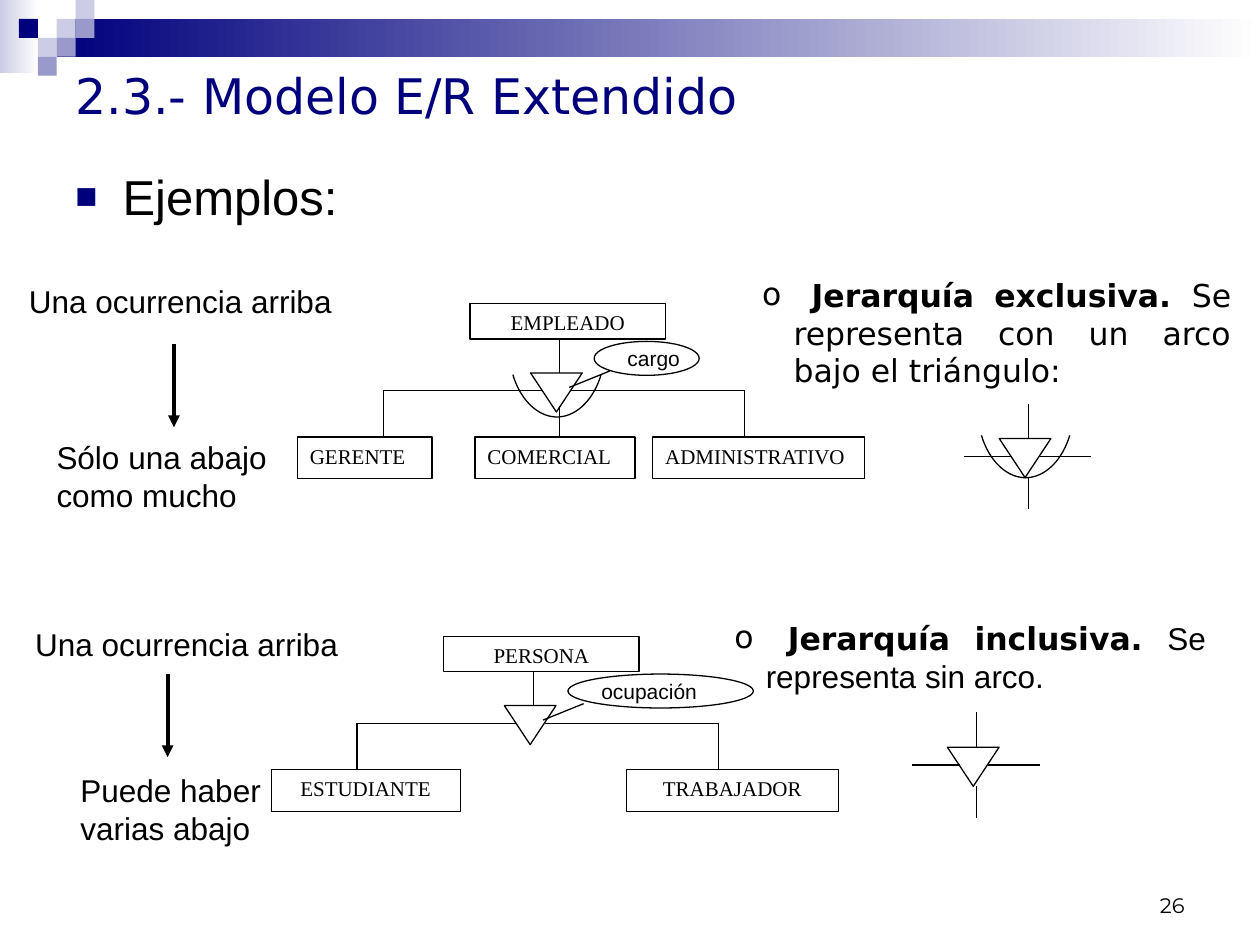
import pptx
import pptx.util
import pptx.dml.color
import pptx.enum.shapes
import pptx.enum.text
import pptx.oxml
import pptx.oxml.ns

Pt = pptx.util.Pt
RGBColor = pptx.dml.color.RGBColor
SHAPE = pptx.enum.shapes.MSO_SHAPE
LINE = pptx.enum.shapes.MSO_CONNECTOR.STRAIGHT
ALIGN = pptx.enum.text.PP_ALIGN
ANCHOR = pptx.enum.text.MSO_ANCHOR
FIT = pptx.enum.text.MSO_AUTO_SIZE
qn = pptx.oxml.ns.qn

NAVY = RGBColor(0x00, 0x00, 0x7D)
MID = RGBColor(0x99, 0x99, 0xCC)
PALE = RGBColor(0xCC, 0xCC, 0xE6)
WHITE = RGBColor(0xFF, 0xFF, 0xFF)
BLACK = RGBColor(0x00, 0x00, 0x00)
SANS, WIDE, SERIF = "Arial", "DejaVu Sans", "Times New Roman"


def make(tag, **attrs):
    """Return a new drawing element with the given attributes."""
    node = pptx.oxml.parse_xml(f"<a:{tag} {pptx.oxml.ns.nsdecls('a')}/>")
    for name, value in attrs.items():
        node.set(name, str(value))
    return node


def write(shape, *parts, size=18, font=SANS, color=BLACK, align=ALIGN.LEFT,
          anchor=ANCHOR.TOP, before=0):
    """Fill a shape with one paragraph; a part is text or (text, font, bold)."""
    frame = shape.text_frame
    frame.word_wrap, frame.auto_size = True, FIT.NONE
    frame.vertical_anchor = anchor
    para = frame.paragraphs[0]
    para.alignment, para.space_before = align, Pt(before)
    for part in parts:
        text, face, bold = (part, font, False) if isinstance(part, str) else part
        run = para.add_run()
        run.text = text
        run.font.name, run.font.bold = face, bold
        run.font.size = Pt(size)
        run.font.color.rgb = color
    return para


def label(slide, box, *parts, **style):
    """Add a text box and return its paragraph."""
    return write(slide.shapes.add_textbox(*map(Pt, box)), *parts, **style)


def bullet(para, char, left, hang, color, face, scale=100):
    """Give a paragraph a hanging bullet."""
    props = para._p.get_or_add_pPr()
    props.set("marL", str(Pt(left)))
    props.set("indent", str(Pt(-hang)))
    tint = make("buClr")
    tint.append(make("srgbClr", val=color))
    props.extend([tint, make("buSzPct", val=scale * 1000),
                  make("buFont", typeface=face), make("buChar", char=char)])


def block(slide, kind, box, fill=None, fade=False, edge=None):
    """Add a preset shape with a plain, faded or empty fill."""
    shape = slide.shapes.add_shape(kind, *map(Pt, box))
    shape.shadow.inherit = False
    if fade:
        shape.fill.gradient()
        shape.fill.gradient_angle = 0
        for stop, tone in zip(shape.fill.gradient_stops, (fill, WHITE)):
            stop.color.rgb = tone
    elif fill is None:
        shape.fill.background()
    else:
        shape.fill.solid()
        shape.fill.fore_color.rgb = fill
    if edge is None:
        shape.line.fill.background()
    else:
        shape.line.color.rgb, shape.line.width = edge, Pt(0.75)
    return shape


def stroke(slide, start, end, width=0.75, head=False):
    """Draw a straight line, with an arrowhead at its end if asked."""
    line = slide.shapes.add_connector(LINE, *map(Pt, start + end))
    line.line.color.rgb, line.line.width = BLACK, Pt(width)
    props = line.element.spPr
    if head:
        props.find(qn("a:ln")).append(make("tailEnd", type="triangle"))
    props.append(make("effectLst"))


def curve(slide, left, top, width, depth, steps=24):
    """Draw an open bowl-shaped arc in the given box."""
    half = width / 2
    spots = []
    for step in range(-steps, steps + 1):
        t = 1 - abs(step) / steps
        u = 1 - t
        reach = u**3 + 3 * u * u * t * 0.83 + 3 * u * t * t * 0.43
        drop = 3 * u * u * t * 0.6 + 3 * u * t * t + t**3
        side = -1 if step < 0 else 1
        spots.append((Pt(left + half + side * half * reach), Pt(top + depth * drop)))
    pen = slide.shapes.build_freeform(*spots[0])
    pen.add_line_segments(spots[1:], close=False)
    arc = pen.convert_to_shape()
    arc.shadow.inherit = False
    arc.fill.background()
    arc.line.color.rgb, arc.line.width = BLACK, Pt(0.75)


def symbol(slide, left, top, west=-20, east=52.6, foot=22.3, arc=None):
    """Draw the hierarchy triangle with its arms, stem, foot and arc."""
    block(slide, SHAPE.FLOWCHART_MERGE, (left, top, 29.5, 22.3), WHITE, edge=BLACK)
    mid, arm = left + 16.6, top + 10.2
    stroke(slide, (mid, top), (mid, top - 20))
    stroke(slide, (left + west, arm), (left + 7.2, arm))
    stroke(slide, (left + 23, arm), (left + east, arm))
    if foot is not None:
        stroke(slide, (mid, top + foot), (mid, top + foot + 18))
    if arc is not None:
        curve(slide, left - 10.1, top + arc, 50.4, 24.2)


def tree(slide, left, top, root, kids, note, wide, align, foot=None, arc=None):
    """Draw an entity, its subtypes and the note on its triangle."""
    nodes = [(root, 98.6, 0, 111.6, 20.2, ALIGN.CENTER)]
    nodes += [(name, x, 76.3, width, 23.8, align) for name, x, width in kids]
    for name, x, y, width, height, side in nodes:
        node = block(slide, SHAPE.RECTANGLE, (left + x, top + y, width, height),
                     WHITE, edge=BLACK)
        write(node, name, size=12, font=SERIF, align=side)
    symbol(slide, left + 133.2, top + 39.6, -84.2, 122.4, foot, arc)
    for x in (49, 255.6):
        stroke(slide, (left + x, top + 49.8), (left + x, top + 76.3))
    stroke(slide, (left + 178.5, top + 38.5), (left + 155.3, top + 47.9))
    block(slide, SHAPE.OVAL, (left + 169.5, top + 21.6, wide, 19.4), edge=BLACK)
    label(slide, (left + 181.5, top + 20.5, wide - 13, 21.6), note, size=12)


def rule(slide, left, top, width, height, *parts):
    """Write a justified bulleted rule."""
    para = label(slide, (left, top, width, height), *parts,
                 align=ALIGN.JUSTIFY, anchor=ANCHOR.MIDDLE)
    bullet(para, "o", 36, 18, BLACK, WIDE)


def banner(slide, left, top, width, cell=10.8):
    """Draw the faded bar and the mosaic in its corner."""
    block(slide, SHAPE.RECTANGLE, (left, top, 22.3, 41.8), PALE, fade=True)
    block(slide, SHAPE.RECTANGLE,
          (left + 3 * cell, top + cell, width - 3 * cell, 2 * cell), NAVY, fade=True)
    for col, row, tone in ((3, 1, PALE), (4, 0, PALE), (4, 1, MID), (2, 2, PALE),
                           (1, 1, NAVY), (3, 2, MID), (2, 3, MID)):
        block(slide, SHAPE.RECTANGLE,
              (left + col * cell, top + row * cell, cell, cell), tone)


def heading(slide, left, top, width, height):
    """Place the title and the line below it."""
    title = slide.shapes.title
    title.left, title.top, title.width, title.height = map(Pt, (left, top, width, height))
    write(title, "2.3.- Modelo E/R Extendido", size=28, font=WIDE, color=NAVY,
          anchor=ANCHOR.MIDDLE)
    para = label(slide, (left, top + 55.4, width, 421), "Ejemplos:", size=28, before=7)
    bullet(para, "■", 27, 27, NAVY, SANS, 75)


def main():
    """Build the slide and save it."""
    deck = pptx.Presentation()
    deck.slide_width, deck.slide_height = Pt(720), Pt(540)
    slide = deck.slides.add_slide(deck.slide_layouts[5])
    banner(slide, 0, 0, 720)
    heading(slide, 36, 36, 648, 36)
    label(slide, (516, 492, 168, 36), "26", size=12, font="Montserrat",
          align=ALIGN.RIGHT, anchor=ANCHOR.BOTTOM)
    rule(slide, 410.4, 154, 300.2, 72, (" ", SANS, True),
         ("Jerarquía exclusiva. ", WIDE, True),
         ("Se representa con un arco bajo el triángulo:", WIDE, False))
    symbol(slide, 571, 250.6, arc=-1.8)
    rule(slide, 394.5, 350, 301.7, 50.4, (" ", SANS, True),
         ("Jerarquía inclusiva. ", WIDE, True),
         ("Se representa sin arco.", SANS, False))
    symbol(slide, 541.4, 427)
    for box, text in (((9.4, 157.7, 212.4, 28.8), "Una ocurrencia arriba"),
                      ((25.2, 247, 166.3, 50.4), "Sólo una abajo como mucho"),
                      ((13, 353.5, 198.7, 28.8), "Una ocurrencia arriba"),
                      ((38.9, 437, 133.2, 50.4), "Puede haber varias abajo")):
        label(slide, box, text)
    for x, y in ((99.4, 196.6), (95.8, 385.2)):
        stroke(slide, (x, y), (x, y + 47.5), width=2.25, head=True)
    tree(slide, 170, 173.5, "EMPLEADO",
         (("GERENTE", 0, 77), ("COMERCIAL", 101.5, 91.4), ("ADMINISTRATIVO", 203, 121)),
         "cargo", 60, ALIGN.LEFT, foot=19, arc=1)
    tree(slide, 155, 363.6, "PERSONA",
         (("ESTUDIANTE", 0, 108), ("TRABAJADOR", 203, 121)),
         "ocupación", 106, ALIGN.CENTER)
    deck.save("out.pptx")


if __name__ == "__main__":
    main()
